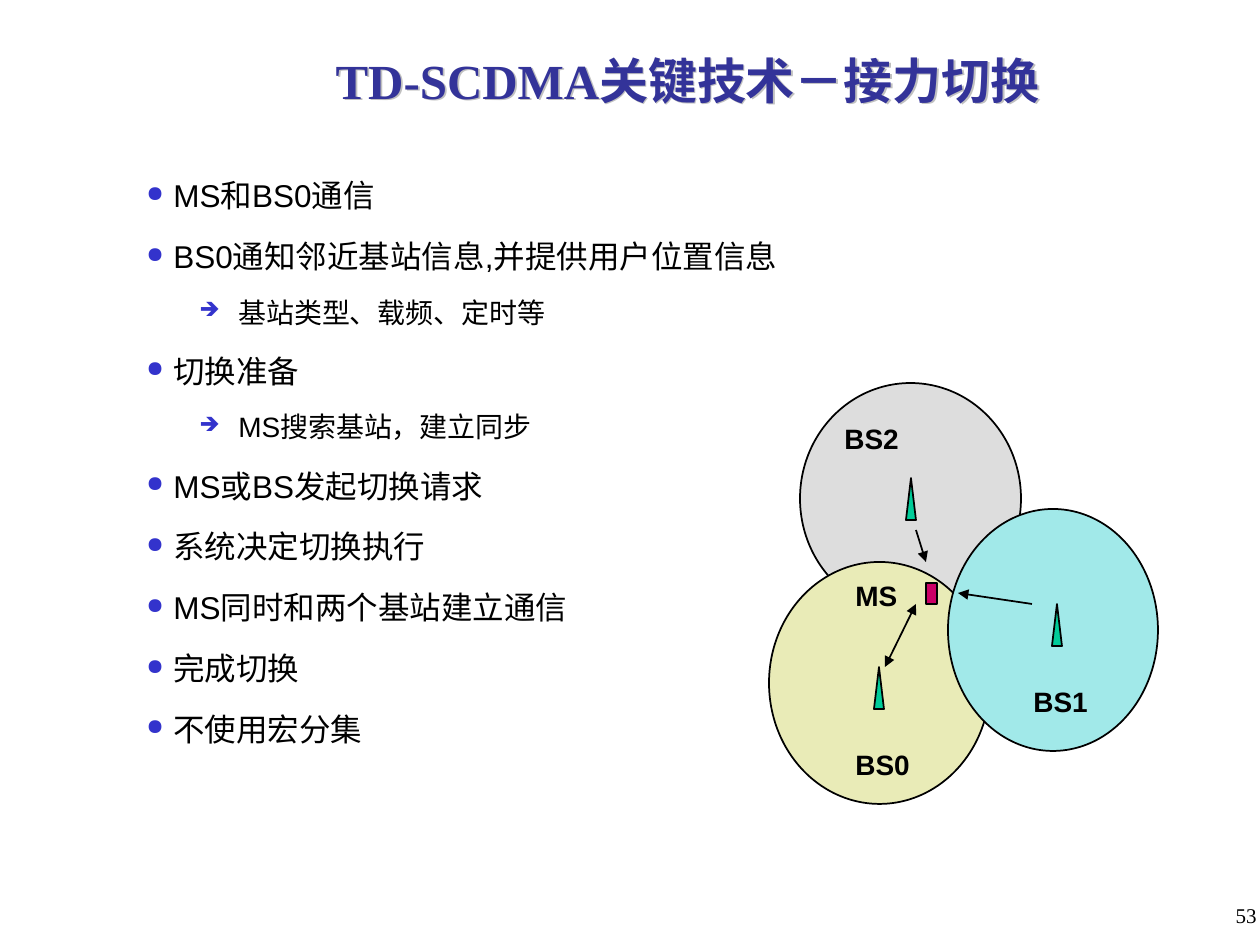
import pptx
import pptx.util
import pptx.dml.color
import pptx.enum.shapes
import pptx.enum.text
import pptx.oxml
import pptx.oxml.ns

PX = 914400 / 126
SHAPE = pptx.enum.shapes.MSO_SHAPE
ALIGN = pptx.enum.text.PP_ALIGN
COLORS = {
    "ink": "000000", "title": "333399", "bullet": "3333CC", "shade": "C0C0C0",
    "gray": "DDDDDD", "sand": "E9EBB7", "aqua": "A1E9E9",
    "tower": "00CC99", "phone": "CC0066",
}
ITEMS = [
    (0, "MS和BS0通信"),
    (0, "BS0通知邻近基站信息,并提供用户位置信息"),
    (1, "基站类型、载频、定时等"),
    (0, "切换准备"),
    (1, "MS搜索基站，建立同步"),
    (0, "MS或BS发起切换请求"),
    (0, "系统决定切换执行"),
    (0, "MS同时和两个基站建立通信"),
    (0, "完成切换"),
    (0, "不使用宏分集"),
]
# Per level: bullet, left margin, hanging indent, text size, space before
LEVELS = [("●", 27, 27, 18, 4.5), ("➔", 92, 39, 16, 4)]
CELLS = [
    ("gray", 800, 383, 221, 231),
    ("sand", 769, 562, 221, 242),
    ("aqua", 948, 509, 210, 242),
]
TOWERS = [(874, 667), (906, 478), (1052, 604)]
LINKS = [
    (916, 604, 885, 667, True),
    (916, 530, 926, 562, False),
    (1032, 604, 958, 593, False),
]
LABELS = [
    ("BS0", 843, 741), ("BS1", 1021, 678),
    ("BS2", 832, 415), ("MS", 843, 572),
]


def emu(*vals):
    return [round(val * PX) for val in vals]


def rgb(name):
    return pptx.dml.color.RGBColor.from_string(COLORS[name])


def add_xml(node, text):
    """Append an element, given as XML in the a: namespace."""
    space = pptx.oxml.ns.nsdecls("a")
    text = text.replace(" ", f" {space} ", 1)
    node.append(pptx.oxml.parse_xml(text))


def add_run(para, text, size, font="Arial", color="ink", bold=False):
    run = para.add_run()
    run.text = text
    run.font.size = pptx.util.Pt(size)
    run.font.name = font
    run.font.bold = bold
    run.font.color.rgb = rgb(color)


def add_box(shapes, *area):
    box = shapes.add_textbox(*emu(*area))
    box.text_frame.word_wrap = True
    return box


def add_form(shapes, kind, color, *area):
    form = shapes.add_shape(kind, *emu(*area))
    form.shadow.inherit = False
    form.fill.solid()
    form.fill.fore_color.rgb = rgb(color)
    form.line.color.rgb = rgb("ink")
    form.line.width = pptx.util.Pt(1)


def add_link(shapes, x1, y1, x2, y2, both):
    """Draw an arrow, with a second head at its start if both is set."""
    kind = pptx.enum.shapes.MSO_CONNECTOR.STRAIGHT
    link = shapes.add_connector(kind, *emu(x1, y1, x2, y2))
    link.line.color.rgb = rgb("ink")
    link.line.width = pptx.util.Pt(1)
    line = link.line._get_or_add_ln()
    if both:
        add_xml(line, '<a:headEnd type="triangle"/>')
    add_xml(line, '<a:tailEnd type="triangle"/>')
    add_xml(link._element.spPr, "<a:effectLst />")


def add_title(shapes):
    box = add_box(shapes, 199, 32, 977, 95)
    shade = COLORS["shade"]
    add_xml(box._element.spPr,
            '<a:effectLst ><a:outerShdw dist="17961" dir="2700000">'
            f'<a:srgbClr val="{shade}"/></a:outerShdw></a:effectLst>')
    frame = box.text_frame
    frame.vertical_anchor = pptx.enum.text.MSO_ANCHOR.MIDDLE
    para = frame.paragraphs[0]
    para.alignment = ALIGN.CENTER
    add_run(para, "TD-SCDMA关键技术－接力切换", 28,
            "Times New Roman", "title", True)


def add_item(para, level, text, first):
    mark, left, hang, size, space = LEVELS[level]
    props = para._p.get_or_add_pPr()
    margin, indent = emu(left, -hang)
    props.set("marL", str(margin))
    props.set("indent", str(indent))
    tint = COLORS["bullet"]
    add_xml(props, f'<a:buClr ><a:srgbClr val="{tint}"/></a:buClr>')
    add_xml(props, '<a:buSzPct val="70000"/>')
    add_xml(props, '<a:buFont typeface="OpenSymbol"/>')
    add_xml(props, f'<a:buChar char="{mark}"/>')
    para.level = level
    para.alignment = ALIGN.JUSTIFY
    para.line_spacing = 1.4
    para.space_before = pptx.util.Pt(0 if first else space)
    add_run(para, text, size)


def add_list(shapes):
    frame = add_box(shapes, 134, 155, 674, 713).text_frame
    for num, (level, text) in enumerate(ITEMS):
        para = frame.add_paragraph() if num else frame.paragraphs[0]
        add_item(para, level, text, num == 0)


def add_cells(shapes):
    """Draw the three radio cells, their towers, the phone and the links."""
    group = shapes.add_group_shape().shapes
    for cell in CELLS:
        add_form(group, SHAPE.OVAL, *cell)
    for left, top in TOWERS:
        add_form(group, SHAPE.ISOSCELES_TRIANGLE, "tower", left, top, 10, 42)
    add_form(group, SHAPE.RECTANGLE, "phone", 926, 583, 11, 21)
    for link in LINKS:
        add_link(group, *link)
    for text, left, top in LABELS:
        frame = add_box(group, left, top, 84, 47).text_frame
        add_run(frame.paragraphs[0], text, 16, bold=True)


def add_number(shapes):
    frame = add_box(shapes, 1007, 896, 262, 63).text_frame
    para = frame.paragraphs[0]
    para.alignment = ALIGN.RIGHT
    add_run(para, "53", 12, "Times New Roman")


def main():
    deck = pptx.Presentation()
    deck.slide_width, deck.slide_height = emu(1260, 945)
    shapes = deck.slides.add_slide(deck.slide_layouts[6]).shapes
    add_cells(shapes)
    add_title(shapes)
    add_list(shapes)
    add_number(shapes)
    deck.save("out.pptx")


if __name__ == "__main__":
    main()
